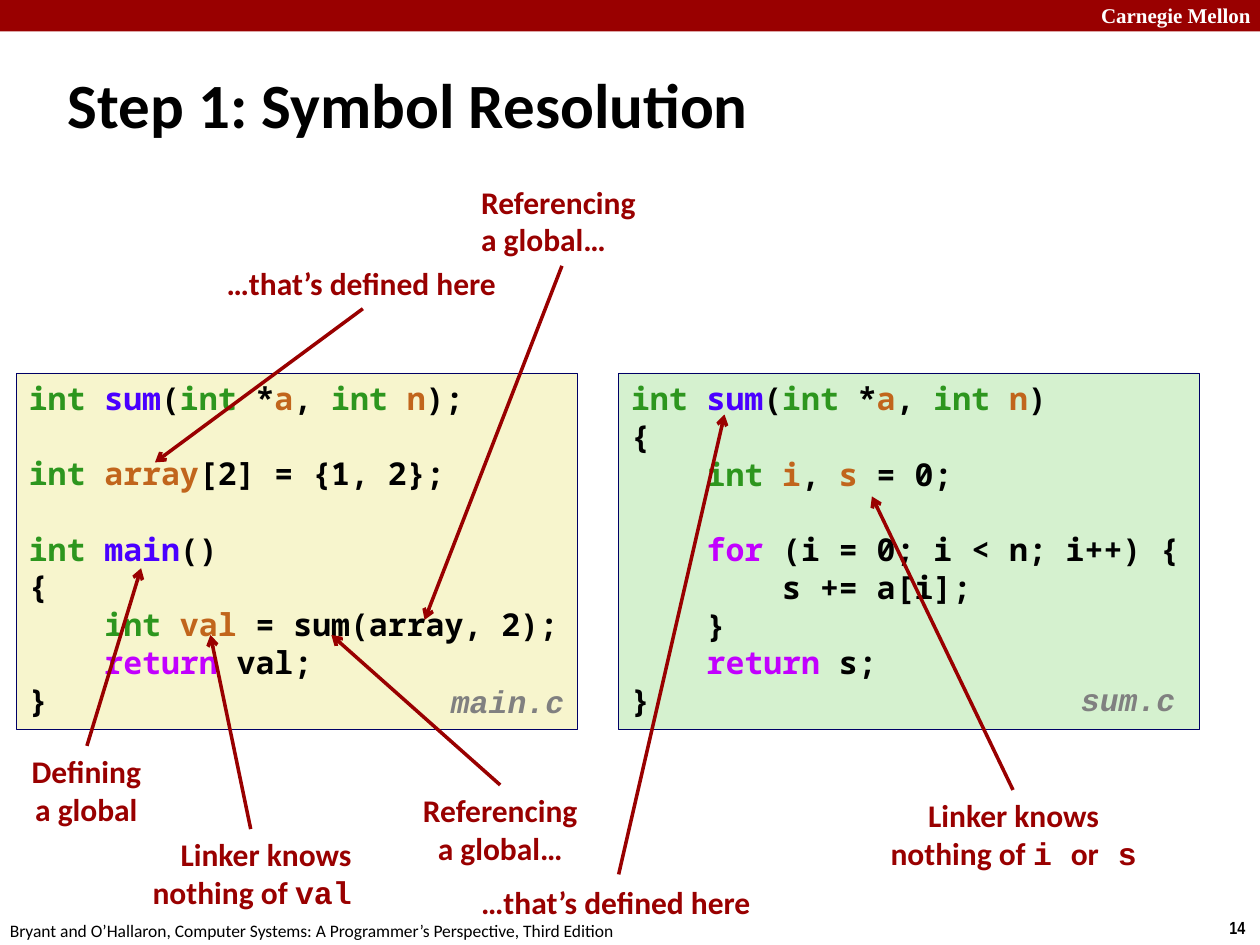
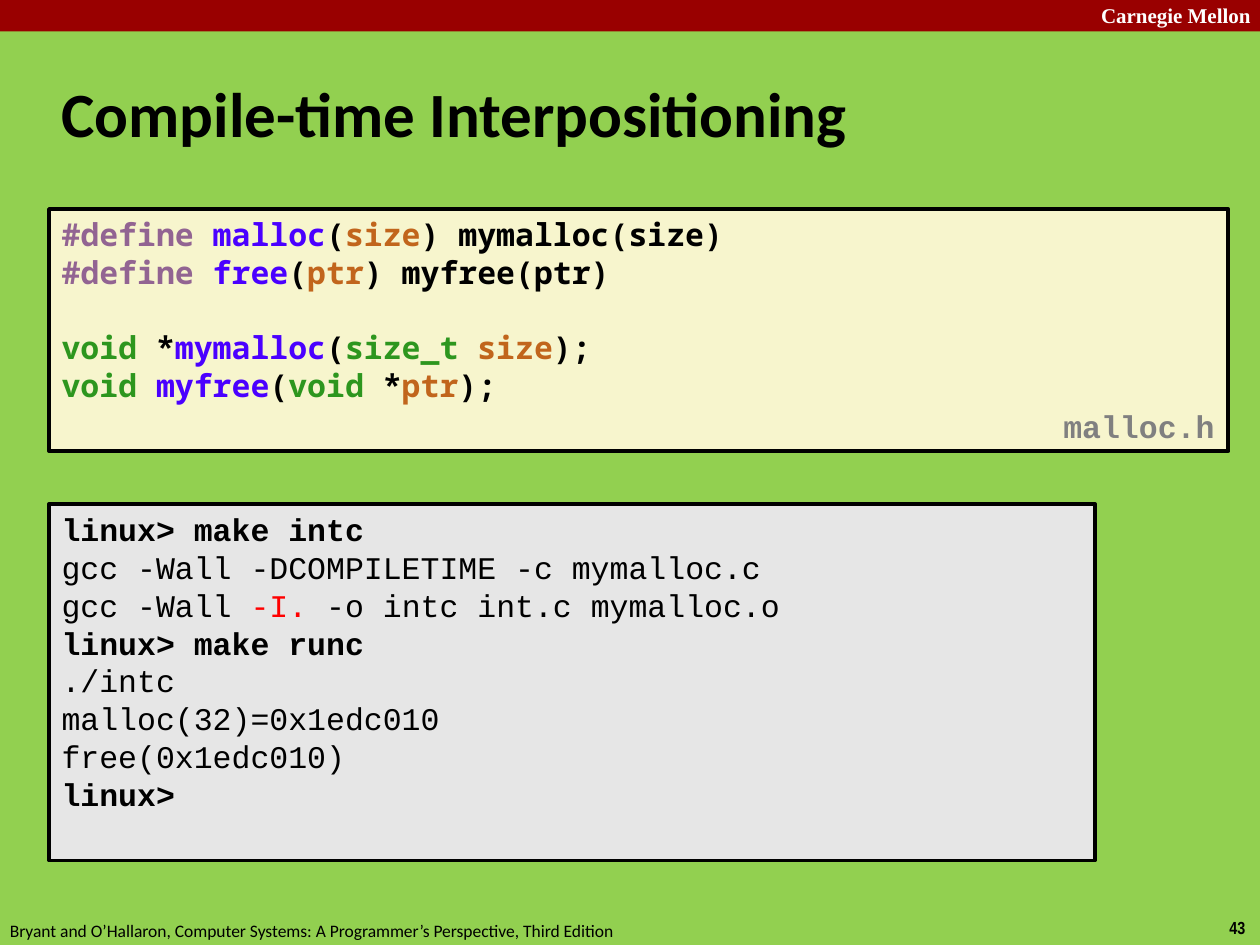
"""Build two lecture slides on symbol resolution and compile-time interpositioning."""
from lxml import etree
from pptx import Presentation
from pptx.dml.color import RGBColor as RGB
from pptx.enum.shapes import MSO_CONNECTOR as CONN, MSO_SHAPE as SHAPE
from pptx.enum.text import MSO_ANCHOR as ANCHOR, PP_ALIGN as ALIGN
from pptx.oxml.ns import qn
from pptx.util import Inches, Pt

C = {
    "red": "990000", "white": "FFFFFF", "black": "000000", "green": "92D050",
    "cream": "F7F5CD", "mint": "D5F1CF", "grey": "E6E6E6", "navy": "000066",
    "file": "808080", "type": "2D961E", "func": "4A00FF", "var": "C1651C",
    "key": "C200FF", "macro": "926492", "flag": "FF0000",
}
CODE, MONO, BODY = "Noto Sans Mono", "Courier New", "Calibri"
LINE_PITCH = 21.4
LEFT, CENTER, RIGHT = ALIGN.LEFT, ALIGN.CENTER, ALIGN.RIGHT


def add_text(s, at, lines, font=BODY, size=18, color="black", bold=True, italic=False,
             align=LEFT, anchor=ANCHOR.TOP, wrap=False, spacing=None,
             fill=None, line=None, weight=0.25):
    at = [Inches(v) for v in at]
    if fill:
        sp = s.shapes.add_shape(SHAPE.RECTANGLE, *at)
        sp.shadow.inherit = False
        sp.fill.solid()
        sp.fill.fore_color.rgb = RGB.from_string(C[fill])
        if line:
            sp.line.color.rgb = RGB.from_string(C[line])
            sp.line.width = Pt(weight)
        else:
            sp.line.fill.background()
    else:
        sp = s.shapes.add_textbox(*at)
    tf = sp.text_frame
    tf.word_wrap = wrap
    tf.vertical_anchor = anchor
    p, gap = None, 0
    for runs in lines:
        if not runs:
            gap += LINE_PITCH
            continue
        p = tf.add_paragraph() if p else tf.paragraphs[0]
        p.alignment = align
        if spacing:
            p.line_spacing = spacing
        if gap:
            p.space_before = Pt(gap)
            gap = 0
        for run in [runs] if isinstance(runs, str) else runs:
            text, style = (run, None) if isinstance(run, str) else run
            r = p.add_run()
            r.text = text
            r.font.name = MONO if style == "mono" else font
            r.font.size = Pt(size)
            r.font.bold = bold or style == "bold"
            r.font.italic = italic
            r.font.color.rgb = RGB.from_string(C.get(style, C[color]))


def add_arrow(s, start, end):
    cx = s.shapes.add_connector(CONN.STRAIGHT, *[Inches(v) for v in (*start, *end)])
    cx.line.color.rgb = RGB.from_string(C["red"])
    cx.line.width = Pt(2)
    etree.SubElement(cx.line._get_or_add_ln(), qn("a:tailEnd"), type="arrow")
    etree.SubElement(cx._element.spPr, qn("a:effectLst"))


prs = Presentation()
prs.slide_width, prs.slide_height = Inches(10), Inches(7.5)

slides = []
for title, title_at, number, background in [
    ("Step 1: Symbol Resolution", (0.44, 0.39, 9.53, 0.86), "14", "white"),
    ("Compile-time Interpositioning", (0.39, 0.48, 8.3, 0.83), "43", "green"),
]:
    s = prs.slides.add_slide(prs.slide_layouts[6])
    s.background.fill.solid()
    s.background.fill.fore_color.rgb = RGB.from_string(C[background])
    add_text(s, (0, 0, 10, 0.25), [], fill="red")
    add_text(s, (8.64, -0.03, 1.43, 0.3), ["Carnegie Mellon"], "Times New Roman", 12, "white")
    add_text(s, (9.66, 7.23, 0.34, 0.27), [number], "Arial Narrow", 10)
    add_text(s, (-0.02, 7.25, 5.08, 0.27),
             ["Bryant and O’Hallaron, Computer Systems: A Programmer’s Perspective, Third Edition"],
             size=10, bold=False)
    add_text(s, title_at, [title], size=36, anchor=ANCHOR.MIDDLE, wrap=True)
    slides.append(s)
resolution, interpositioning = slides

INT = ("int ", "type")
sum_header = [INT, ("sum", "func"), "(", ("int", "type"), " *", ("a", "var"), ", ",
              INT, ("n", "var")]
main_code = [
    sum_header + [");"],
    [],
    [INT, ("array", "var"), "[2] = {1, 2};"],
    [],
    [INT, ("main", "func"), "()"],
    "{",
    ["    ", INT, ("val", "var"), " = sum(array, 2);"],
    ["    ", ("return", "key"), " val;"],
    "}",
]
sum_code = [
    sum_header + [")"],
    "{",
    ["    ", INT, ("i", "var"), ", ", ("s", "var"), " = 0;"],
    [],
    ["    ", ("for", "key"), " (i = 0; i < n; i++) {"],
    "        s += a[i];",
    "    }",
    ["    ", ("return", "key"), " s;"],
    "}",
]
for code, at, fill, name, name_at in [
    (main_code, (0.13, 2.96, 4.45, 2.83), "cream", "main.c", (3.48, 5.39, 1.1, 0.39)),
    (sum_code, (4.91, 2.96, 4.61, 2.83), "mint", "sum.c", (8.48, 5.37, 1.02, 0.39)),
]:
    add_text(resolution, at, code, CODE, fill=fill, line="navy")
    add_text(resolution, name_at, [name], MONO, color="file", italic=True, spacing=0.94)

referencing = ["Referencing", "a global…"]
defined_here = ["…that’s defined here"]
for lines, at, align, start, end in [
    (referencing, (3.72, 1.4, 1.46, 0.71), LEFT, (4.46, 2.11), (3.37, 4.92)),
    (["Defining", "a global"], (0.14, 5.92, 1.09, 0.71), CENTER, (0.69, 5.92), (1.12, 4.51)),
    (["Linker knows", ["nothing of ", ("val", "mono")]],
     (1.09, 6.58, 1.8, 0.71), RIGHT, (1.99, 6.58), (1.67, 5.04)),
    (referencing, (3.24, 6.23, 1.46, 0.71), CENTER, (3.97, 6.23), (2.63, 5.04)),
    (defined_here, (3.72, 6.96, 2.38, 0.4), LEFT, (4.91, 6.94), (5.75, 3.29)),
    (["Linker knows", ["nothing of ", ("i ", "mono"), "or", (" s", "mono")]],
     (6.92, 6.27, 2.25, 0.71), CENTER, (8.04, 6.27), (6.92, 3.94)),
    (defined_here, (1.7, 2.05, 2.38, 0.4), LEFT, (2.88, 2.45), (1.23, 3.67)),
]:
    add_text(resolution, at, lines, color="red", align=align)
    add_arrow(resolution, start, end)

DEFINE = ("#define ", "macro")
header_code = [
    [DEFINE, ("malloc", "func"), "(", ("size", "var"), ") mymalloc(size)"],
    [DEFINE, ("free", "func"), "(", ("ptr", "var"), ") myfree(ptr)"],
    [],
    [("void", "type"), " *", ("mymalloc", "func"), "(", ("size_t ", "type"),
     ("size", "var"), ");"],
    [("void ", "type"), ("myfree", "func"), "(", ("void", "type"), " *", ("ptr", "var"), ");"],
]
session = [
    [("linux> make intc", "bold")],
    "gcc -Wall -DCOMPILETIME -c mymalloc.c",
    ["gcc -Wall", (" -I. ", "flag"), "-o intc int.c mymalloc.o"],
    [("linux> make runc", "bold")],
    "./intc",
    "malloc(32)=0x1edc010",
    "free(0x1edc010)",
    [("linux>", "bold")],
]
add_text(interpositioning, (0.39, 1.66, 9.36, 1.92), header_code, CODE, wrap=True,
         fill="cream", line="black", weight=2.25)
add_text(interpositioning, (8.34, 3.18, 1.41, 0.4), ["malloc.h"], MONO, color="file")
add_text(interpositioning, (0.39, 4, 8.3, 2.83), session, MONO, bold=False, wrap=True,
         fill="grey", line="black", weight=2.25)

prs.save("out.pptx")
